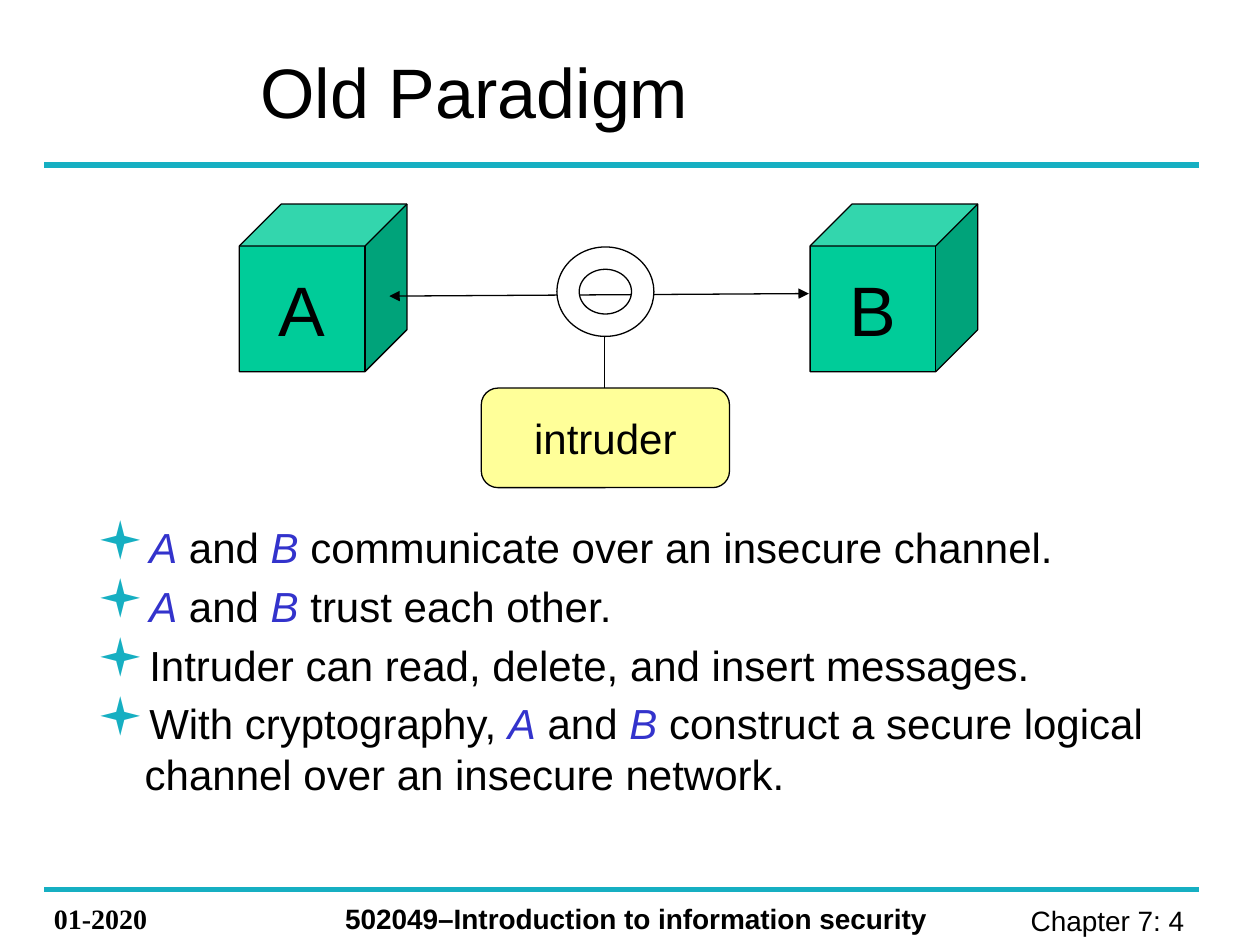
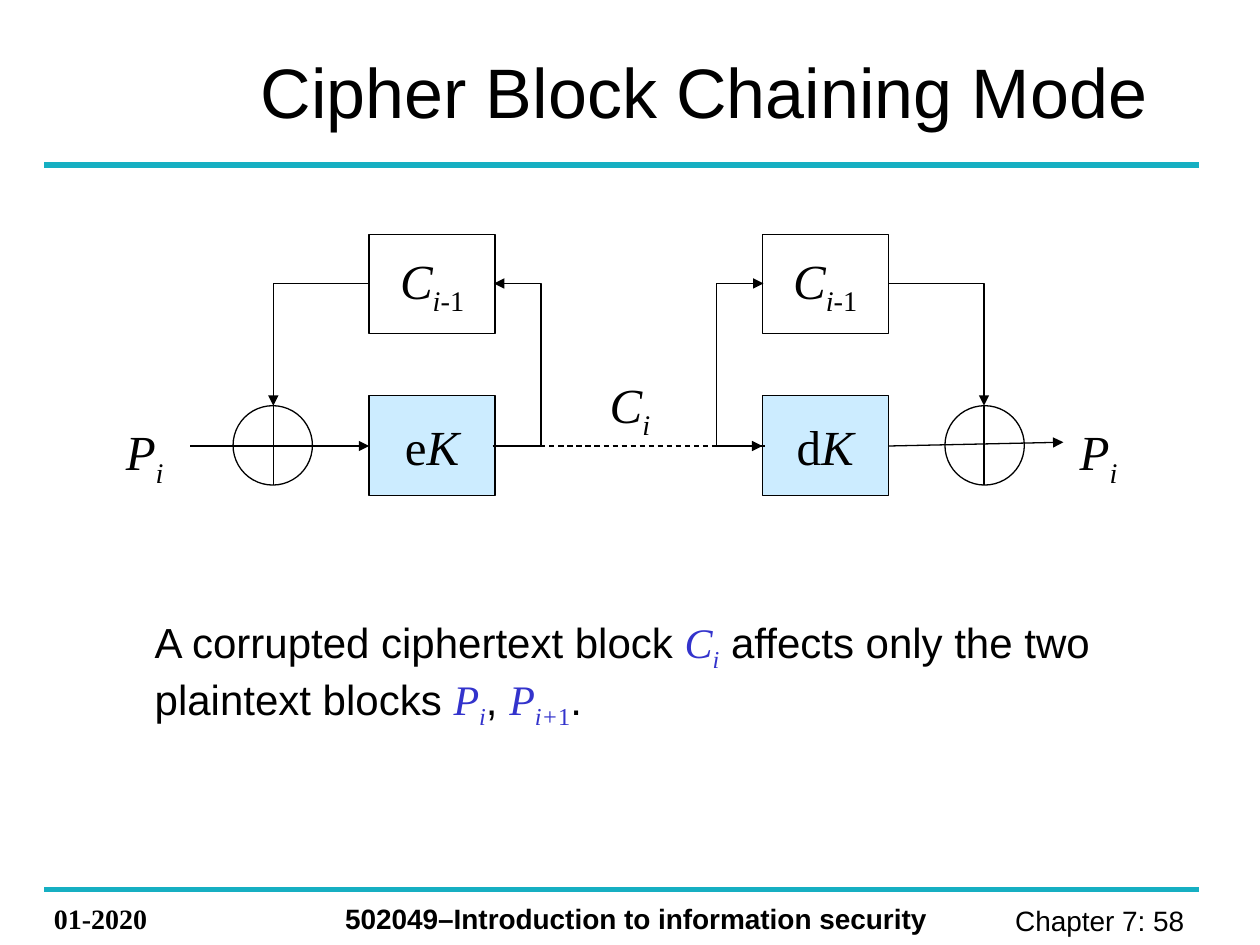
from pptx import Presentation
from pptx import util as u
from pptx.dml.color import RGBColor
from pptx.enum import dml, shapes, text
from pptx.oxml.ns import qn
from lxml import etree

# Slide grid: 10 columns by 7.5 rows of square cells
WIDTH, HEIGHT = u.Inches(10), u.Inches(7.5)
CELL = WIDTH / 10

BLACK = RGBColor(0x00, 0x00, 0x00)
WHITE = RGBColor(0xFF, 0xFF, 0xFF)
TEAL = RGBColor(0x16, 0xAF, 0xC2)
BLUE = RGBColor(0x33, 0x33, 0xCC)
GREEN = RGBColor(0x00, 0xCC, 0x99)
YELLOW = RGBColor(0xFF, 0xFF, 0x99)
PALE_BLUE = RGBColor(0xCC, 0xEC, 0xFF)

SANS, SERIF = "Arial", "Times New Roman"
FORM, CONNECTOR = shapes.MSO_SHAPE, shapes.MSO_CONNECTOR
LEFT, CENTER, RIGHT = text.PP_ALIGN.LEFT, text.PP_ALIGN.CENTER, text.PP_ALIGN.RIGHT
TOP, MIDDLE = text.MSO_ANCHOR.TOP, text.MSO_ANCHOR.MIDDLE

# Span formats
PARTY = dict(color=BLUE, italic=True)
SYMBOL = dict(font=SERIF, italic=True)
INDEX = dict(SYMBOL, subscript=True)
INDEX_DIGIT = dict(font=SERIF, subscript=True)


def cells(*counts):
    return [u.Emu(round(count * CELL)) for count in counts]


def blue(style):
    return dict(style, color=BLUE)


def add_bullet(properties):
    """Give a paragraph a teal square bullet."""
    color = etree.SubElement(properties, qn("a:buClr"))
    etree.SubElement(color, qn("a:srgbClr"), val=str(TEAL))
    etree.SubElement(properties, qn("a:buSzPct"), val="125000")
    etree.SubElement(properties, qn("a:buFont"), typeface="Wingdings", charset="2")
    etree.SubElement(properties, qn("a:buChar"), char="▪")


def write(shape, paragraphs, size=24, font=SANS, color=BLACK, bold=False,
          align=LEFT, anchor=TOP, wrap=True, bullet=False, indent=0):
    """Fill a shape with paragraphs, each a list of (words, format) spans."""
    frame = shape.text_frame
    frame.word_wrap, frame.vertical_anchor = wrap, anchor
    for number, spans in enumerate(paragraphs):
        para = frame.add_paragraph() if number else frame.paragraphs[0]
        para.alignment = align
        if number:
            para.space_before = u.Pt(size * 0.2)
        if indent:
            properties = para._p.get_or_add_pPr()
            margin = cells(indent)[0]
            properties.set("marL", str(margin))
            properties.set("indent", str(-margin if bullet else 0))
            if bullet:
                add_bullet(properties)
        for words, style in spans:
            span = para.add_run()
            span.text = words
            span.font.size = u.Pt(size)
            span.font.name = style.get("font", font)
            span.font.bold = bold
            span.font.italic = style.get("italic", False)
            span.font.color.rgb = style.get("color", color)
            if style.get("subscript"):
                span._r.get_or_add_rPr().set("baseline", "-25000")


def add_text(page, place, paragraphs, **form):
    box = page.shapes.add_textbox(*cells(*place))
    write(box, paragraphs, **form)


def add_form(page, kind, place, fill=None, spans=(), adjust=None, **form):
    shape = page.shapes.add_shape(kind, *cells(*place))
    shape.shadow.inherit = False
    if adjust is not None:
        shape.adjustments[0] = adjust
    if fill is None:
        shape.fill.background()
    else:
        shape.fill.solid()
        shape.fill.fore_color.rgb = fill
    shape.line.color.rgb = BLACK
    shape.line.width = u.Pt(0.75)
    if spans:
        write(shape, [spans], align=CENTER, anchor=MIDDLE, wrap=False, **form)


def add_line(page, start, end, color=BLACK, width=0.75, head=False, tail=False,
             dashed=False, kind=CONNECTOR.STRAIGHT):
    line = page.shapes.add_connector(kind, *cells(*start, *end))
    line.line.color.rgb = color
    line.line.width = u.Pt(width)
    if dashed:
        line.line.dash_style = dml.MSO_LINE.DASH
    stroke = line.line._get_or_add_ln()
    for tag, wanted in (("a:headEnd", head), ("a:tailEnd", tail)):
        if wanted:
            etree.SubElement(stroke, qn(tag), type="triangle")
    etree.SubElement(line._element.spPr, qn("a:effectLst"))
    return line


def add_elbow(page, start, end, turn=None):
    """Draw an arrow with one corner, or with two at the column `turn`."""
    line = add_line(page, start, end, tail=True, kind=CONNECTOR.ELBOW)
    outline = line._element.spPr.find(qn("a:prstGeom"))
    if turn is None:
        outline.set("prst", "bentConnector2")
        return
    share = round((turn - start[0]) / (end[0] - start[0]) * 100000)
    guides = outline.find(qn("a:avLst"))
    if guides is None:
        guides = etree.SubElement(outline, qn("a:avLst"))
    etree.SubElement(guides, qn("a:gd"), name="adj1", fmla=f"val {share}")


def add_page(deck, title, number):
    """Start a page with the shared rules, footer and title."""
    page = deck.slides.add_slide(deck.slide_layouts[6])
    for row in (1.31, 7.06):
        add_line(page, (0.35, row), (9.52, row), color=TEAL, width=3)
    add_text(page, (7.36, 7.12, 2.2, 0.37), [[(f"Chapter 7: {number} ", {})]],
             size=16, align=RIGHT)
    add_text(page, (0.33, 7.11, 1.33, 0.37), [[("01-2020", {})]],
             size=16, font=SERIF, bold=True)
    add_text(page, (2.64, 7.11, 5.04, 0.37),
             [[("502049–Introduction to information security", {})]],
             size=16, bold=True)
    add_text(page, (1.97, 0.28, 8.03, 0.87), [[(title, {})]],
             size=40, anchor=MIDDLE)
    return page


def build_old_paradigm(deck):
    page = add_page(deck, "Old Paradigm", 4)
    parties = [("A", PARTY), (" and ", {}), ("B", PARTY)]
    add_text(page, (0.67, 4.09, 8.98, 2.38), [
        [*parties, (" communicate over an insecure channel.", {})],
        [*parties, (" trust each other.", {})],
        [("Intruder can read, delete, and insert messages.", {})],
        [("With cryptography, ", {}), *parties,
         (" construct a secure logical channel over an insecure network.", {})],
    ], bullet=True, indent=0.38)

    # Two parties, their channel and the intruder tapping it
    for name, left in (("A", 1.9), ("B", 6.43)):
        add_form(page, FORM.CUBE, (left, 1.62, 1.33, 1.33), GREEN,
                 [(name, {})], adjust=0.25, size=40)
    add_line(page, (3.09, 2.35), (6.42, 2.33), head=True, tail=True)
    add_form(page, FORM.ROUNDED_RECTANGLE, (3.82, 3.08, 1.97, 0.79), YELLOW,
             [("intruder", {})], adjust=0.167)
    add_form(page, FORM.DONUT, (4.42, 1.96, 0.77, 0.71), WHITE, adjust=0.25)
    add_line(page, (4.8, 3.08), (4.8, 2.67))


def build_chaining_mode(deck):
    page = add_page(deck, "Cipher Block Chaining Mode", 58)
    add_text(page, (0.75, 4.84, 8.5, 1.56), [[
        ("A corrupted ciphertext block ", {}),
        ("C", blue(SYMBOL)), ("i", blue(INDEX)),
        (" affects only the two plaintext blocks ", {}),
        ("P", blue(SYMBOL)), ("i", blue(INDEX)), (", ", {}),
        ("P", blue(SYMBOL)), ("i+", blue(INDEX)), ("1", blue(INDEX_DIGIT)),
        (".", {}),
    ]], indent=0.38)

    # The decryption half mirrors the encryption half
    span, block, circle = 9.98, 1, 0.63
    signal, register = 3.54, 2.25
    for letter, mirrored in (("e", False), ("d", True)):
        def column(x, width=0):
            return span - x - width if mirrored else x

        block_left = column(2.93, block)
        add_form(page, FORM.RECTANGLE, (block_left, 1.86, block, 0.79),
                 spans=[("C", SYMBOL), ("i", INDEX), ("-1", INDEX_DIGIT)],
                 size=28, font=SERIF)
        add_form(page, FORM.RECTANGLE, (block_left, 3.14, block, 0.79), PALE_BLUE,
                 [(letter, {}), ("K", SYMBOL)], size=28, font=SERIF)
        add_form(page, FORM.OVAL, (column(1.85, circle), 3.22, circle, circle))
        adder = column(2.17)
        add_line(page, (adder, 3.22), (adder, 3.85))
        add_elbow(page, (column(2.93), register), (adder, 3.22))
        add_elbow(page, (column(3.91), signal), (column(3.92), register),
                  turn=column(4.3))

    # Signal line from plaintext to ciphertext and back
    add_line(page, (1.51, signal), (2.93, signal), tail=True)
    add_line(page, (3.93, signal), (6.05, signal), tail=True, dashed=True)
    add_line(page, (7.05, signal), (8.44, 3.51), tail=True)
    for name, left, top in (("P", 0.9, 3.3), ("C", 4.74, 2.92), ("P", 8.47, 3.3)):
        add_text(page, (left, top, 0.52, 0.57), [[(name, SYMBOL), ("i", INDEX)]],
                 size=28, wrap=False)


def main():
    deck = Presentation()
    deck.slide_width, deck.slide_height = WIDTH, HEIGHT
    build_old_paradigm(deck)
    build_chaining_mode(deck)
    deck.save("out.pptx")


if __name__ == "__main__":
    main()
